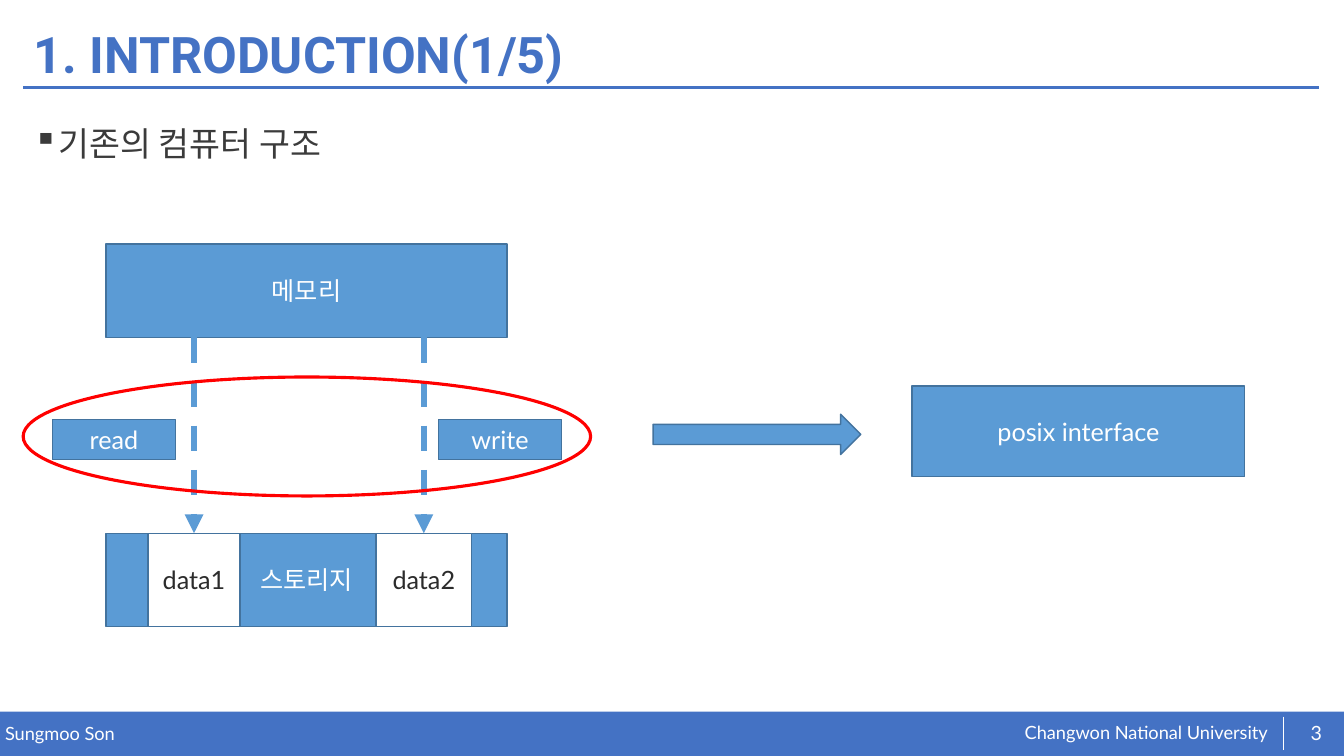
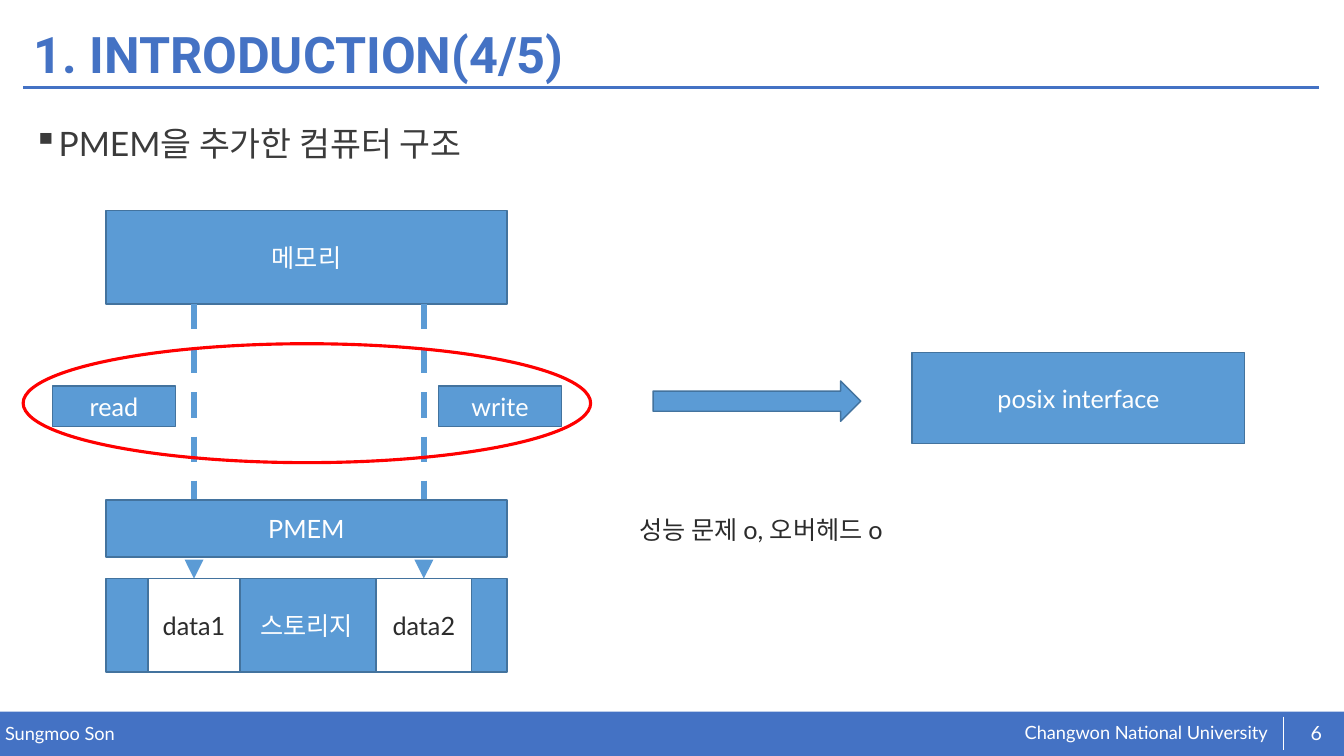
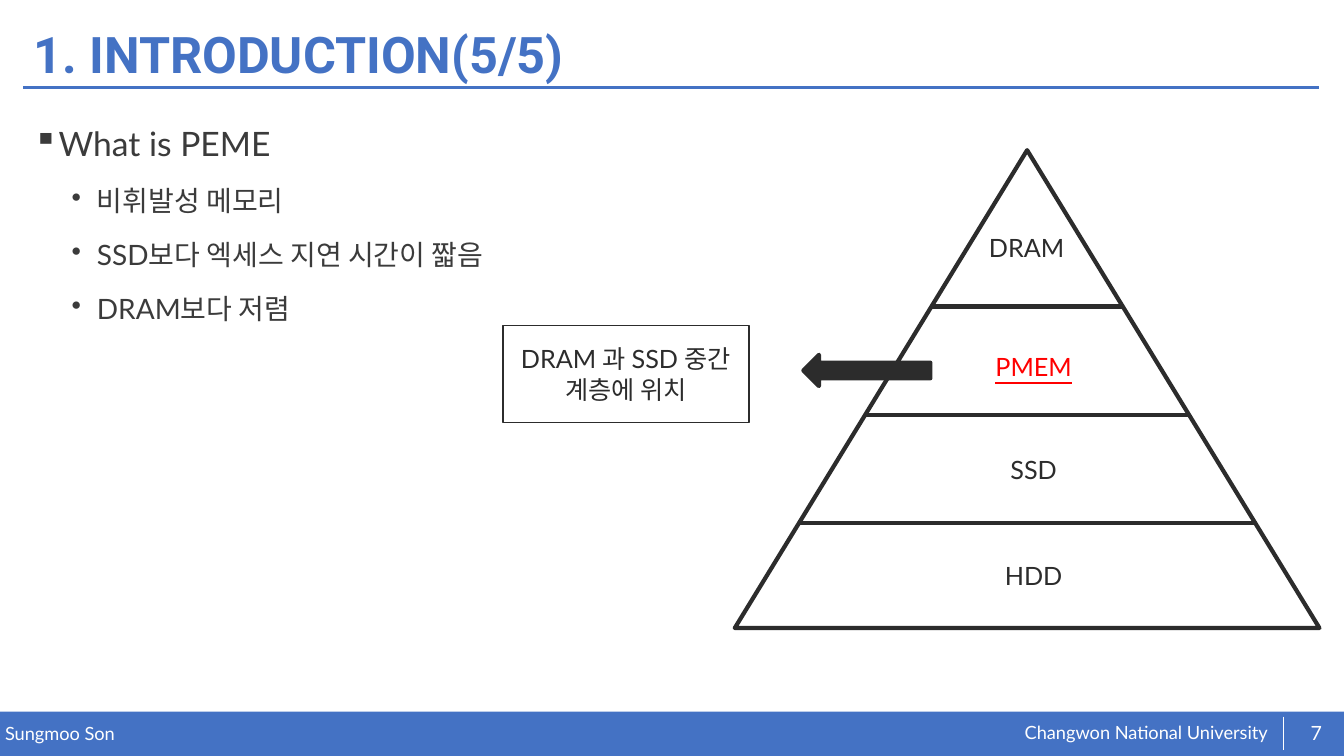
from lxml import etree
from pptx import Presentation
from pptx.dml.color import RGBColor
from pptx.enum import dml, shapes, text
from pptx.oxml.ns import qn
from pptx.util import Inches, Pt

# Grid: 80 columns by 45 rows of square cells
COLS, ROWS = 80, 45
CELL = Inches(7.5) / ROWS

# Shared look
ACCENT, BOX, BOX_EDGE = "4472C4", "5B9BD5", "43739E"
WHITE, DARK, BODY, RED = "FFFFFF", "2C2C2C", "3B3B3B", "FF0000"
FONT, TITLE_FONT = "Lato", "Roboto"
LEFT, WIDTH = 1.4, 77.16
SHAPE = shapes.MSO_SHAPE
CENTER = text.PP_ALIGN.CENTER
MIDDLE, TOP = text.MSO_ANCHOR.MIDDLE, text.MSO_ANCHOR.TOP

# Bullet levels: character, left indent (inches), size, space before
LEVELS = [("▪", 0.25, 24, 10), ("•", 0.63, 20, 5)]


def rgb(hex_color):
    return RGBColor.from_string(hex_color)


def grid(*cells):
    return [round(c * CELL) for c in cells]


def style_runs(p, size, color, font=FONT, bold=False, underline=False):
    for r in p.runs:
        r.font.name, r.font.size, r.font.bold = font, Pt(size), bold
        r.font.color.rgb = rgb(color)
        if underline:
            r.font.underline = True


def label(s, at, words, size, color, align=None, anchor=TOP, inset=True,
          **font):
    """A one-paragraph text box."""
    tf = s.shapes.add_textbox(*grid(*at)).text_frame
    tf.word_wrap, tf.vertical_anchor = True, anchor
    if not inset:
        tf.margin_left = tf.margin_right = tf.margin_top = tf.margin_bottom = 0
    p = tf.paragraphs[0]
    p.text, p.alignment = words, align
    style_runs(p, size, color, **font)
    return p


def block(s, at, words="", kind=SHAPE.RECTANGLE, fill=BOX, edge=BOX_EDGE,
          weight=1, color=WHITE, underline=False):
    """A preset shape with optional centred text."""
    sp = s.shapes.add_shape(kind, *grid(*at))
    sp.shadow.inherit = False
    if fill:
        sp.fill.solid()
        sp.fill.fore_color.rgb = rgb(fill)
    else:
        sp.fill.background()
    if edge:
        sp.line.color.rgb, sp.line.width = rgb(edge), Pt(weight)
    else:
        sp.line.fill.background()
    if words:
        tf = sp.text_frame
        tf.word_wrap, tf.vertical_anchor = True, MIDDLE
        p = tf.paragraphs[0]
        p.text, p.alignment = words, CENTER
        style_runs(p, 18, color, underline=underline)
    return sp


def line(s, x1, y1, x2, y2, color, weight, dashed_arrow=False):
    c = s.shapes.add_connector(shapes.MSO_CONNECTOR.STRAIGHT,
                               *grid(x1, y1, x2, y2))
    c.line.color.rgb, c.line.width = rgb(color), Pt(weight)
    if dashed_arrow:
        c.line.dash_style = dml.MSO_LINE.DASH
        etree.SubElement(c.line._ln, qn("a:tailEnd"), type="triangle")
    etree.SubElement(c._element.spPr, qn("a:effectLst"))


def bullets(s, items):
    """Bulleted body; items are (level, words) pairs."""
    tf = s.shapes.add_textbox(*grid(LEFT, 6.06, WIDTH, 33.78)).text_frame
    tf.word_wrap = True
    for i, (level, words) in enumerate(items):
        char, indent, size, before = LEVELS[level]
        p = tf.add_paragraph() if i else tf.paragraphs[0]
        p.text, p.level = words, level
        p.line_spacing, p.space_before = 1.4, Pt(before)
        style_runs(p, size, BODY)
        pPr = p._p.get_or_add_pPr()
        pPr.set("marL", str(Inches(indent)))
        pPr.set("indent", str(Inches(-0.25)))
        etree.SubElement(pPr, qn("a:buChar"), char=char)


def new_slide(prs, part, number, items):
    """Footer band, title with rule, and bulleted body."""
    s = prs.slides.add_slide(prs.slide_layouts[6])
    block(s, (0, 42.36, COLS, ROWS - 42.36), fill=ACCENT, edge=None)
    label(s, (61, 42.96, 16.2, 1.4), "Changwon National University",
          13, WHITE, inset=False)
    label(s, (0.3, 43.02, 39.3, 1.4), "Sungmoo Son", 13, WHITE, inset=False)
    line(s, LEFT, 5.2, 78.5, 5.2, ACCENT, 2)
    line(s, 76.4, 42.66, 76.4, 44.64, WHITE, 0.5)
    title = label(s, (LEFT, 1.08, WIDTH, 4.62), f"1. INTRODUCTION({part}/5)",
                  36, ACCENT, anchor=MIDDLE, font=TITLE_FONT, bold=True)
    title.line_spacing = 0.9
    bullets(s, items)
    label(s, (76.92, 42.42, 2.88, 2.4), str(number), 14, WHITE,
          align=CENTER, anchor=MIDDLE, inset=False)
    return s


def memory_diagram(s, top, storage_top, pmem_top=None):
    """Memory over storage, with the read/write path between them."""
    x, w, h = 6.3, 23.88, 5.56
    data = [("data1", 8.82, 5.46), ("data2", 22.38, 5.7)]
    block(s, (x, top, w, h), "메모리")
    for _, left, width in data:
        mid = left + width / 2
        line(s, mid, top + h, mid, storage_top, BOX, 4.5, dashed_arrow=True)
    for words, left in (("read", 3.12), ("write", 26.1)):
        block(s, (left, top + 10.44, 7.32, 2.4), words)
    block(s, (1.38, top + 7.92, 33.78, 7.08), kind=SHAPE.OVAL, fill=None,
          edge=RED, weight=2.25)
    block(s, (38.88, top + 10.14, 12.36, 2.4), kind=SHAPE.RIGHT_ARROW)
    block(s, (54.3, top + 8.46, 19.8, 5.4), "posix interface")
    if pmem_top:
        block(s, (x, pmem_top, w, 3.4), "PMEM")
    block(s, (x, storage_top, w, h), "스토리지")
    for words, left, width in data:
        block(s, (left, storage_top, width, h), words, fill=WHITE, color=DARK)


def pyramid(s):
    """Storage hierarchy; dividers follow the slope of the sides."""
    left, top, w, h = 43.74, 8.94, 34.8, 28.44
    apex = left + w / 2
    block(s, (left, top, w, h), kind=SHAPE.FLOWCHART_EXTRACT, fill=None,
          edge=DARK, weight=3)
    for y in (18.24, 24.7, 31.14):
        half = w / 2 * (y - top) / h
        line(s, apex - half, y, apex + half, y, DARK, 3)
    for words, x, y in (("DRAM", 57.9, 13.2), ("PMEM", 58.32, 20.28),
                        ("SSD", 58.32, 26.4), ("HDD", 58.32, 32.7)):
        marked = words == "PMEM"
        block(s, (x, y, 6.42, 3.06), words, SHAPE.ROUNDED_RECTANGLE,
              fill=None, edge=None, color=RED if marked else DARK,
              underline=marked)


def main():
    prs = Presentation()
    prs.slide_width, prs.slide_height = grid(COLS, ROWS)

    # Conventional structure
    s = new_slide(prs, 1, 3, [(0, "기존의 컴퓨터 구조")])
    memory_diagram(s, top=14.52, storage_top=31.74)

    # Structure with PMEM
    s = new_slide(prs, 4, 6, [(0, "PMEM을 추가한 컴퓨터 구조")])
    memory_diagram(s, top=12.54, storage_top=34.44, pmem_top=29.76)
    label(s, (36.36, 28.74, 17.88, 5.58), "성능 문제 o, 오버헤드 o", 18, DARK,
          align=CENTER, anchor=MIDDLE)

    # Place of PMEM in the hierarchy
    s = new_slide(prs, 5, 7, [(0, "What is PEME"),
                              (1, "비휘발성 메모리"),
                              (1, "SSD보다 엑세스 지연 시간이 짧음"),
                              (1, "DRAM보다 저렴")])
    pyramid(s)
    block(s, (29.94, 19.38, 14.64, 5.76), "DRAM 과 SSD 중간 계층에 위치",
          fill=None, edge=DARK, color=DARK)
    pointer = block(s, (47.82, 21.12, 7.56, 1.86), kind=SHAPE.RIGHT_ARROW,
                    fill=DARK, edge=DARK, weight=3)
    pointer.rotation = 180

    prs.save("out.pptx")


if __name__ == "__main__":
    main()
